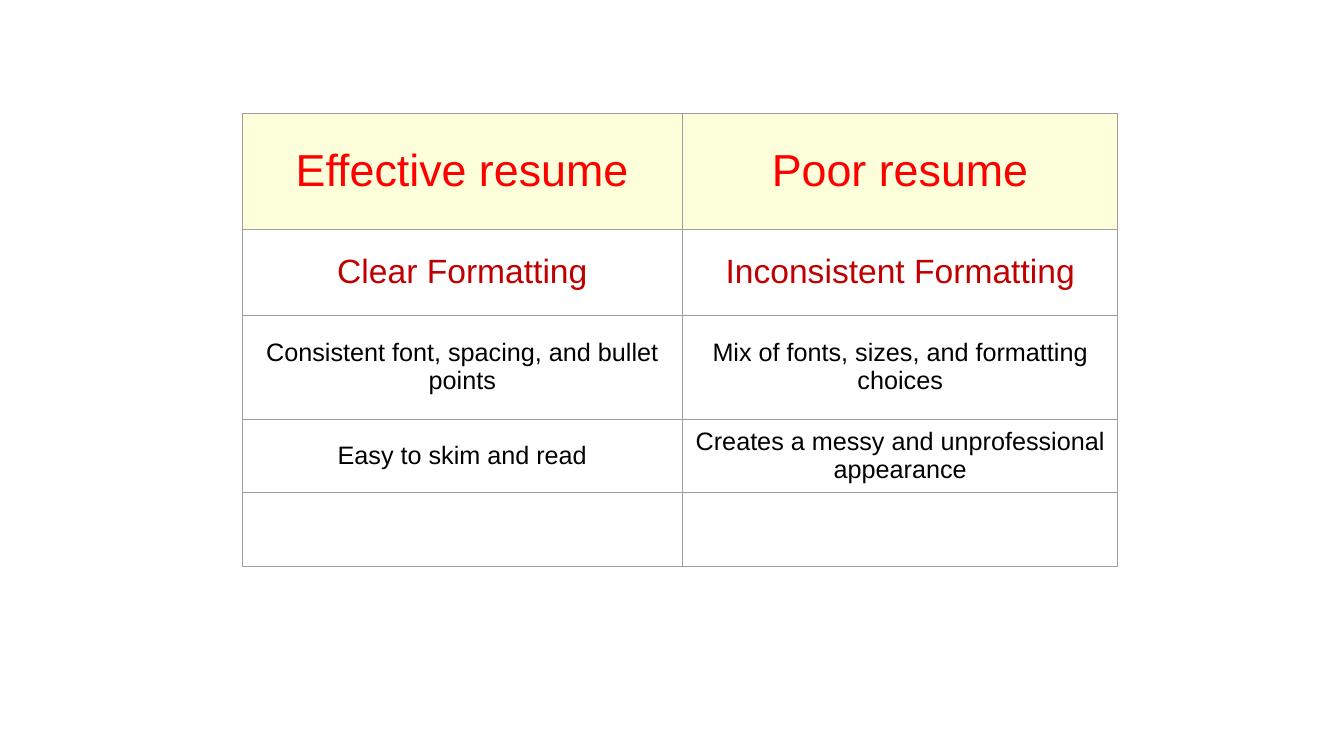
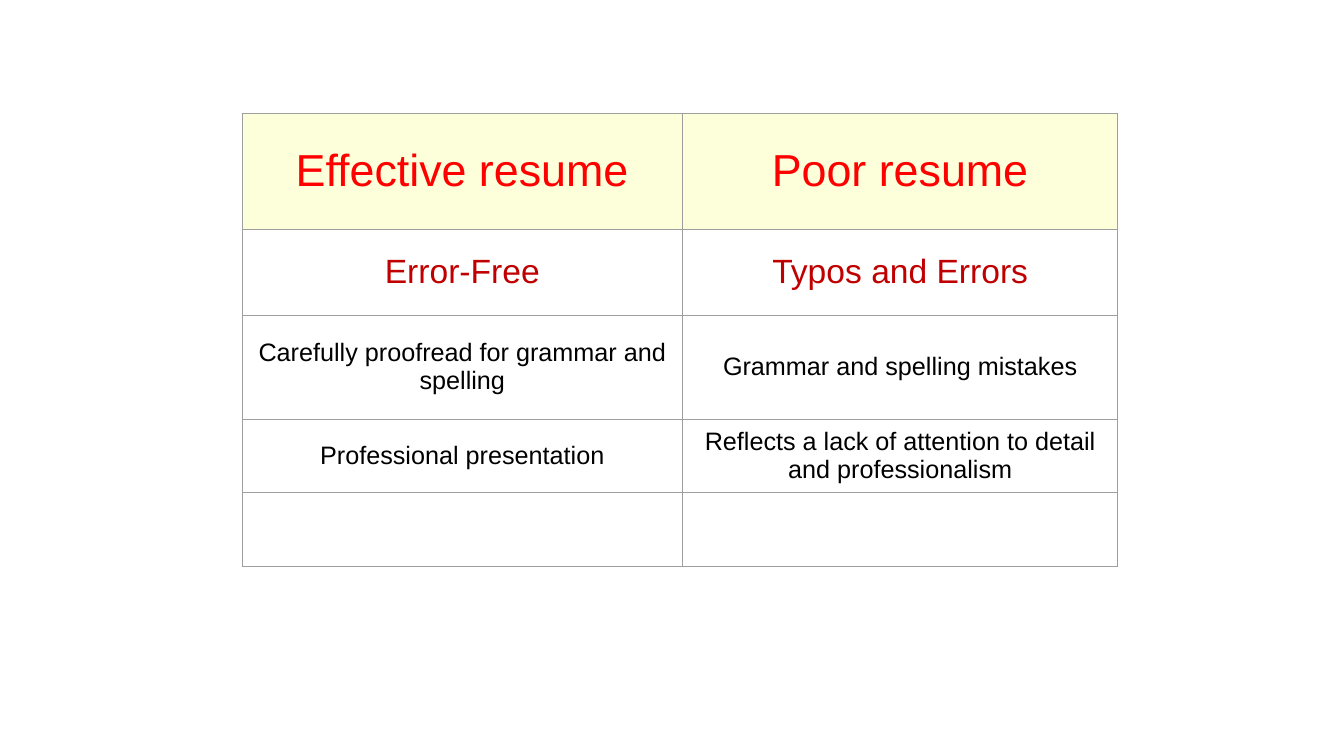
from dataclasses import dataclass

from lxml import etree
from pptx import Presentation
from pptx import util as u
from pptx.dml.color import RGBColor
from pptx.enum import text
from pptx.oxml.ns import qn


@dataclass(frozen=True)
class Theme:
    font: str = "Arial"
    heading_color: str = "FF0000"
    topic_color: str = "C00000"
    body_color: str = "000000"
    heading_fill: str = "FCFFD9"
    border_color: str = "9E9E9E"
    border_width: float = 0.75
    heading_size: int = 32
    topic_size: int = 24
    body_size: int = 18


THEME = Theme()

TABLE_LEFT, TABLE_TOP = u.Cm(6.1), u.Cm(2.85)
COLUMN_WIDTHS = [u.Cm(11.1), u.Cm(10.97)]
ROW_HEIGHTS = [u.Cm(height) for height in (2.92, 2.17, 2.62, 1.86, 1.86)]

HEADINGS = ("Effective resume", "Poor resume")
COMPARISONS = [
    [
        ("Clear Formatting", "Inconsistent Formatting"),
        ("Consistent font, spacing, and bullet points",
         "Mix of fonts, sizes, and formatting choices"),
        ("Easy to skim and read",
         "Creates a messy and unprofessional appearance"),
    ],
    [
        ("Error-Free", "Typos and Errors"),
        ("Carefully proofread for grammar and spelling",
         "Grammar and spelling mistakes"),
        ("Professional presentation",
         "Reflects a lack of attention to detail and professionalism"),
    ],
]


def write_text(cell, words, *, size, color):
    cell.vertical_anchor = text.MSO_ANCHOR.MIDDLE
    paragraph = cell.text_frame.paragraphs[0]
    paragraph.alignment = text.PP_ALIGN.CENTER
    run = paragraph.add_run()
    run.text = words
    run.font.name = THEME.font
    run.font.size = u.Pt(size)
    run.font.bold = False
    run.font.color.rgb = RGBColor.from_string(color)


def draw_borders(cell):
    """Outline all four sides; call before setting the fill, which must follow."""
    properties = cell._tc.get_or_add_tcPr()
    for side in ("a:lnL", "a:lnR", "a:lnT", "a:lnB"):
        line = etree.SubElement(properties, qn(side),
                                w=str(u.Pt(THEME.border_width)))
        fill = etree.SubElement(line, qn("a:solidFill"))
        etree.SubElement(fill, qn("a:srgbClr"), val=THEME.border_color)


def fill_cell(cell, color=None):
    if color is None:
        cell.fill.background()
    else:
        cell.fill.solid()
        cell.fill.fore_color.rgb = RGBColor.from_string(color)


def text_format(row_index):
    if row_index == 0:
        return {"size": THEME.heading_size, "color": THEME.heading_color}
    if row_index == 1:
        return {"size": THEME.topic_size, "color": THEME.topic_color}
    return {"size": THEME.body_size, "color": THEME.body_color}


def add_comparison_table(slide, rows):
    """Add the two-column grid; rows without words stay empty."""
    table = slide.shapes.add_table(
        len(ROW_HEIGHTS), len(COLUMN_WIDTHS), TABLE_LEFT, TABLE_TOP,
        sum(COLUMN_WIDTHS), sum(ROW_HEIGHTS)).table
    table.first_row = table.horz_banding = False
    for column, width in zip(table.columns, COLUMN_WIDTHS):
        column.width = width
    for row_index, (row, height) in enumerate(zip(table.rows, ROW_HEIGHTS)):
        row.height = height
        for cell in row.cells:
            draw_borders(cell)
            fill_cell(cell, THEME.heading_fill if row_index == 0 else None)
    for row_index, row_words in enumerate(rows):
        for column_index, words in enumerate(row_words):
            write_text(table.cell(row_index, column_index), words,
                       **text_format(row_index))


def main():
    presentation = Presentation()
    presentation.slide_width = u.Cm(33.87)
    presentation.slide_height = u.Cm(19.05)
    blank_layout = presentation.slide_layouts[6]
    for comparison in COMPARISONS:
        slide = presentation.slides.add_slide(blank_layout)
        add_comparison_table(slide, [HEADINGS, *comparison])
    presentation.save("out.pptx")


if __name__ == "__main__":
    main()
